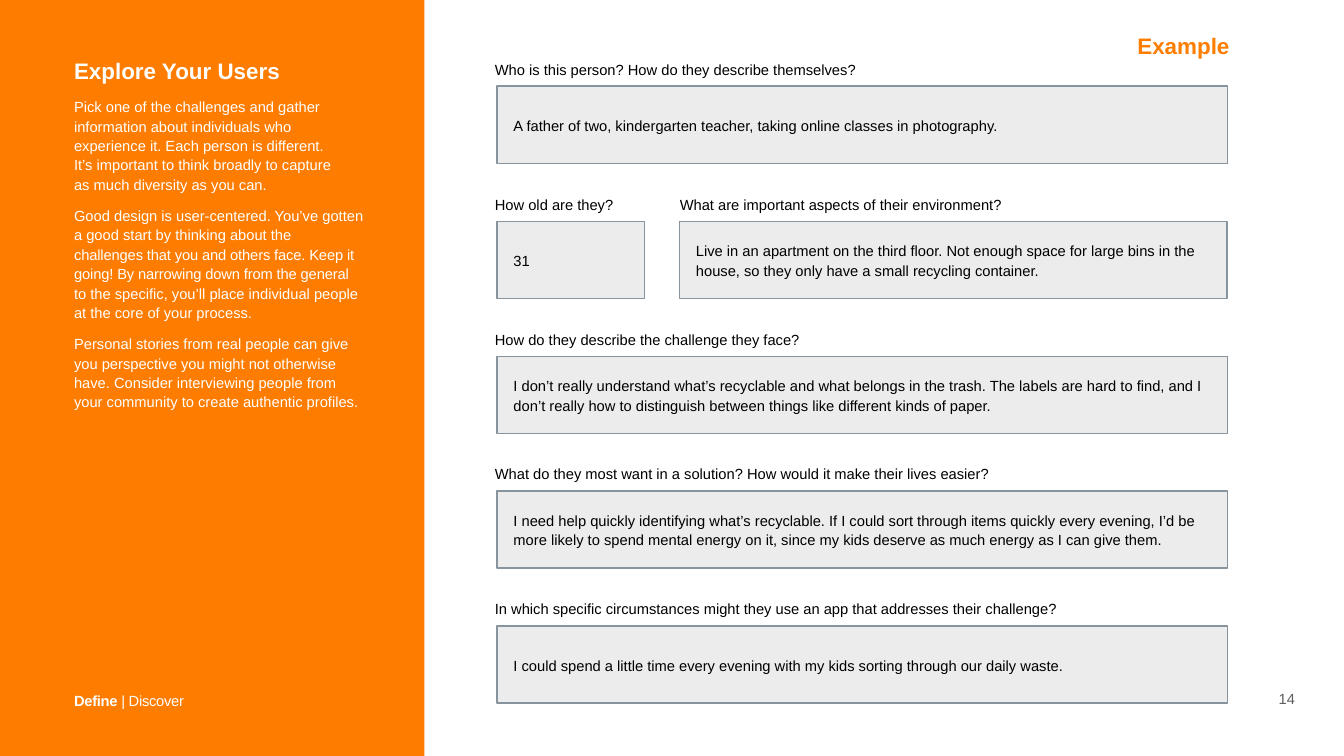
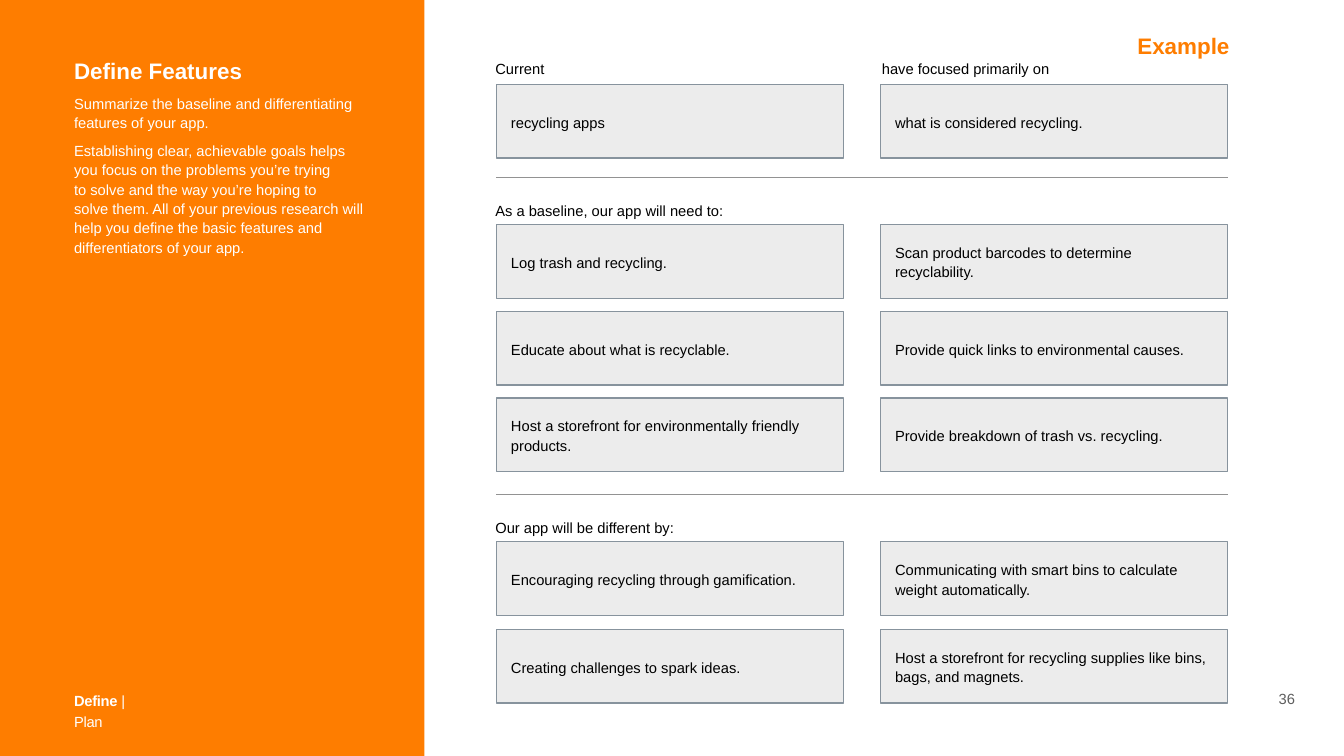
from lxml.etree import SubElement
from pptx import Presentation
from pptx.dml.color import RGBColor
from pptx.enum.shapes import MSO_CONNECTOR, MSO_SHAPE
from pptx.enum.text import MSO_ANCHOR as ANCHOR, MSO_AUTO_SIZE as AUTO, PP_ALIGN as ALIGN
from pptx.oxml.ns import qn
from pptx.util import Emu, Pt

SCALE = 9144  # EMU per px, 100 px to the inch
WIDTH, HEIGHT = 2667, 1500
FONT = "Arial"
BODY, HEADING = 21, 32
COLORS = {
    "orange": "FE7D00",
    "white": "FFFFFF",
    "black": "000000",
    "number": "5E5E5E",
    "field": "D5D5D5",
    "border": "87939D",
    "rule": "929292",
}
SIDEBAR = (0, 0, 842, HEIGHT)
FORM = (985, 111, 1451, 1284)


def px(*lengths):
    return [Emu(n * SCALE) for n in lengths]


def rgb(name):
    return RGBColor.from_string(COLORS[name])


def write(tf, text, size=BODY, color="black", bold=False, spacing=1.1, before=0, align=ALIGN.LEFT):
    """Append a paragraph; text is a string or a list of (string, bold, tracking) runs."""
    p = tf.paragraphs[0] if not tf.paragraphs[0].runs else tf.add_paragraph()
    p.alignment = align
    p.line_spacing = spacing
    p.space_before = Pt(before)
    runs = [(text, bold, 0)] if isinstance(text, str) else text
    for words, is_bold, tracking in runs:
        for i, line in enumerate(words.split("\n")):
            if i:
                p.add_line_break()
            r = p.add_run()
            r.text = line
            r.font.name, r.font.size, r.font.bold = FONT, Pt(size), is_bold
            r.font.color.rgb = rgb(color)
            if tracking:
                r.font._element.set("spc", str(tracking))


def set_frame(sp, inset, anchor, wrap=True, auto=AUTO.NONE):
    tf = sp.text_frame
    tf.word_wrap = wrap
    tf.auto_size = auto
    tf.vertical_anchor = anchor
    tf.margin_left, tf.margin_top, tf.margin_right, tf.margin_bottom = px(*[inset] * 4)
    return tf


def text_box(slide, box, inset=8, anchor=ANCHOR.TOP, **frame):
    return set_frame(slide.shapes.add_textbox(*px(*box)), inset, anchor, **frame)


def rectangle(slide, box, fill):
    sp = slide.shapes.add_shape(MSO_SHAPE.RECTANGLE, *px(*box))
    sp.shadow.inherit = False
    sp.fill.solid()
    sp.fill.fore_color.rgb = rgb(fill)
    sp.line.fill.background()
    return sp


def label(slide, box, text):
    write(text_box(slide, box, inset=6, anchor=ANCHOR.MIDDLE), text)


def answer_field(slide, box, text, inset):
    sp = rectangle(slide, box, "field")
    color = sp._element.spPr.find(qn("a:solidFill"))[0]
    SubElement(color, qn("a:alpha"), val="44000")
    sp.line.color.rgb = rgb("border")
    sp.line.width = Pt(2)
    write(set_frame(sp, inset, ANCHOR.MIDDLE), text)


def divider(slide, left, right, y):
    line = slide.shapes.add_connector(MSO_CONNECTOR.STRAIGHT, *px(left, y, right, y))
    line.line.color.rgb = rgb("rule")
    line.line.width = Pt(1)
    SubElement(line._element.spPr, qn("a:effectLst"))


def sidebar(slide, box, title, paragraphs, before, step, step_width):
    x, y, w, h = box
    rectangle(slide, box, "orange")
    tf = text_box(slide, (x + 139, y + 106, 590, 691))
    write(tf, title, size=HEADING, color="white", bold=True, spacing=1.0)
    for text in paragraphs:
        write(tf, text, color="white", before=before)
    tf = text_box(slide, (x + 139, y + h - 142, step_width, 51))
    write(tf, [("Define", True, -40), (f" | {step}", False, -40)], color="white", spacing=1.2)


def corner_marks(slide, number):
    tf = text_box(slide, (WIDTH - 138, HEIGHT - 139, 49, 50), anchor=ANCHOR.BOTTOM, wrap=False)
    write(tf, str(number), color="number", spacing=1.0, align=ALIGN.CENTER)
    tf = text_box(slide, (WIDTH - 418, 56, 200, 69), anchor=ANCHOR.MIDDLE, wrap=False)
    write(tf, "Example", size=HEADING, color="orange", bold=True, spacing=1.0)


def profile_form(slide, box, rows):
    """Stack rows of (offset, width, question, answer) fields, each under its question."""
    x, y, w, h = box
    field_h, first = 153, 60
    pitch = (h - first - field_h) / (len(rows) - 1)
    for i, row in enumerate(rows):
        top = y + first + round(i * pitch)
        for offset, width, question, answer in row:
            shift = 9 if offset == 0 else 4
            label(slide, (x + offset - shift, top - 58, max(width, 439), 45), question)
            answer_field(slide, (x + 1 + offset, top, width, field_h), answer, 33)


def feature_form(slide, box, sections):
    """Place sections of (label top, field top, row pitch, labels, rows) in two columns."""
    x, y, w, h = box
    field_w, field_h = 689, 146
    columns = (x, x + w - field_w)
    for label_top, field_top, pitch, labels, rows in sections:
        for left, shift, text in zip(columns, (8, 3), labels):
            label(slide, (left - shift, y + label_top, 590, 47), text)
        for i, row in enumerate(rows):
            for left, text in zip(columns, row):
                answer_field(slide, (left, y + field_top + i * pitch, field_w, field_h), text, 29)
    for offset in (240, 869):
        divider(slide, x, x + w, y + offset)


def users_slide(prs):
    slide = prs.slides.add_slide(prs.slide_layouts[6])
    sidebar(slide, SIDEBAR, "Explore Your Users", [
        "Pick one of the challenges and gather information about individuals who experience it. "
        "Each person is different.\nIt’s important to think broadly to capture\n"
        "as much diversity as you can.",
        [("Good design is user-centered. You’ve gotten a good start by thinking about the ", False, 0),
         ("challenges that you and others face. Keep it going! By narrowing down from the general ",
          False, -20),
         ("to the specific, you’ll place individual people at the core of your process.", False, 0)],
        "Personal stories from real people can give you perspective you might not otherwise have. "
        "Consider interviewing people from your community to create authentic profiles.",
    ], 17, "Discover", 240)
    corner_marks(slide, 14)
    full = 1450
    profile_form(slide, FORM, [
        [(0, full, "Who is this person? How do they describe themselves?",
          "A father of two, kindergarten teacher, taking online classes in photography.")],
        [(0, 293, "How old are they?", "31"),
         (362, 1087, "What are important aspects of their environment?",
          "Live in an apartment on the third floor. Not enough space for large bins in the house, "
          "so they only have a small recycling container.")],
        [(0, full, "How do they describe the challenge they face?",
          "I don’t really understand what’s recyclable and what belongs in the trash. The labels are "
          "hard to find, and I don’t really how to distinguish between things like different kinds "
          "of paper.")],
        [(0, full, "What do they most want in a solution? How would it make their lives easier?",
          "I need help quickly identifying what’s recyclable. If I could sort through items quickly "
          "every evening, I’d be more likely to spend mental energy on it, since my kids deserve as "
          "much energy as I can give them.")],
        [(0, full, "In which specific circumstances might they use an app that addresses their challenge?",
          "I could spend a little time every evening with my kids sorting through our daily waste.")],
    ])


def features_slide(prs):
    slide = prs.slides.add_slide(prs.slide_layouts[6])
    sidebar(slide, SIDEBAR, "Define Features", [
        "Summarize the baseline and differentiating features of your app.",
        "Establishing clear, achievable goals helps you focus on the problems you’re trying\n"
        "to solve and the way you’re hoping to\nsolve them. All of your previous research will "
        "help you define the basic features and differentiators of your app.",
    ], 12, "Plan", 175)
    corner_marks(slide, 36)
    feature_form(slide, FORM, [
        (0, 57, 0, ["Current", "have focused primarily on"],
         [("recycling apps", "what is considered recycling.")]),
        (282, 335, 172, ["As a baseline, our app will need to:"], [
            ("Log trash and recycling.", "Scan product barcodes to determine recyclability."),
            ("Educate about what is recyclable.", "Provide quick links to environmental causes."),
            ("Host a storefront for environmentally friendly products.",
             "Provide breakdown of trash vs. recycling."),
        ]),
        (911, 964, 174, ["Our app will be different by:"], [
            ("Encouraging recycling through gamification.",
             "Communicating with smart bins to calculate weight automatically."),
            ("Creating challenges to spark ideas.",
             "Host a storefront for recycling supplies like bins, bags, and magnets."),
        ]),
    ])


def main():
    prs = Presentation()
    prs.slide_width, prs.slide_height = px(WIDTH, HEIGHT)
    users_slide(prs)
    features_slide(prs)
    prs.save("out.pptx")


if __name__ == "__main__":
    main()
